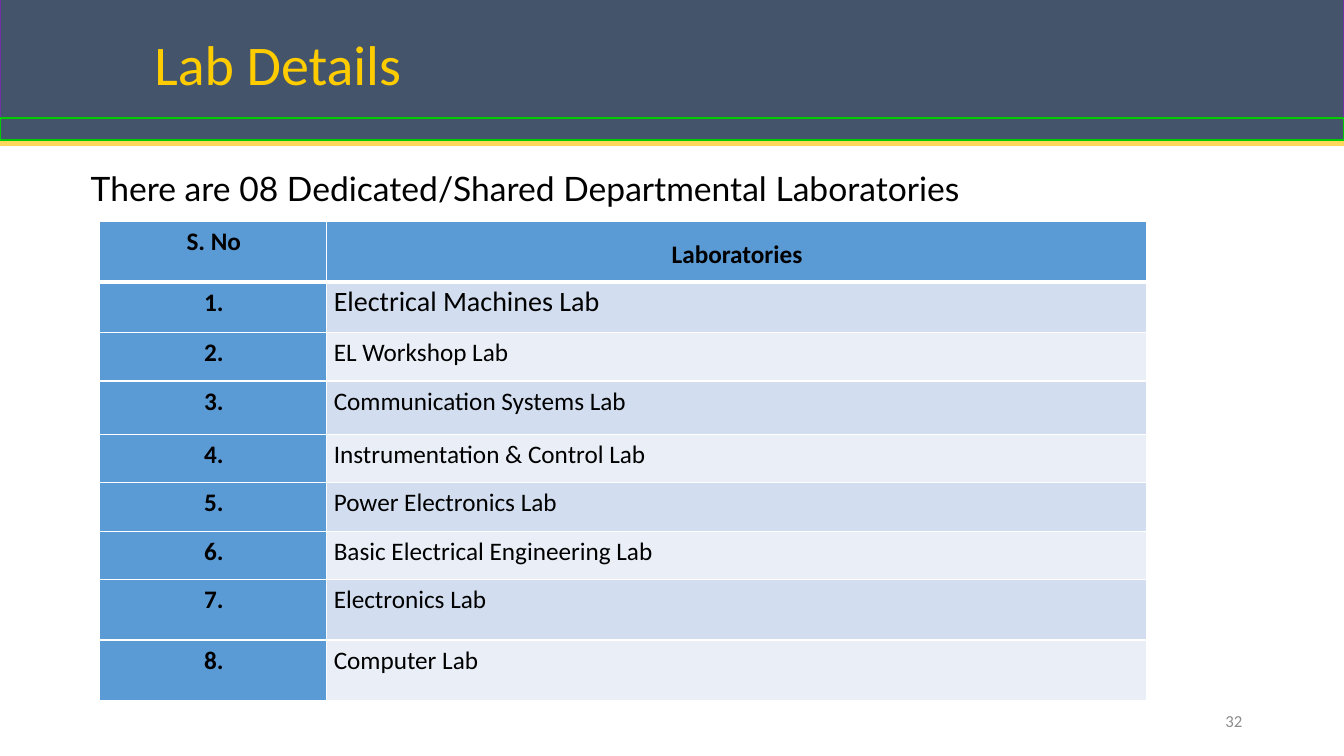
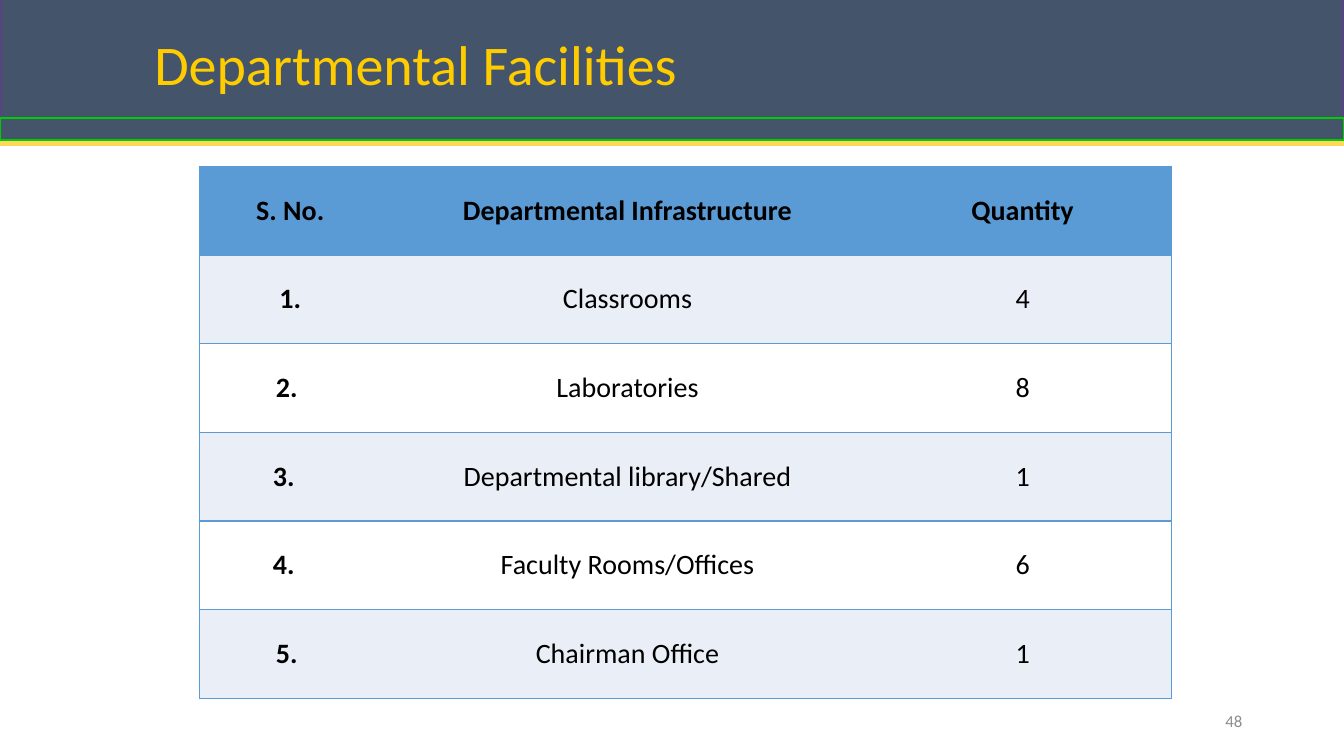
from dataclasses import dataclass
from typing import Any, NamedTuple

import lxml.etree
import pptx
import pptx.dml.color
import pptx.enum.shapes
import pptx.enum.text
import pptx.oxml.ns
import pptx.util

WIDE = pptx.util.Inches(13.33)
HIGH = pptx.util.Inches(7.5)
HUES = {
    "black": "000000", "white": "FFFFFF", "slate": "44546A", "grey": "8C8C8C",
    "gold": "FFCC00", "sand": "FFD85B", "plum": "7030A0", "green": "00CC00",
    "blue": "5B9BD5", "sky": "D2DEEF", "pale": "EAEFF7",
}
ALIGN = pptx.enum.text.PP_ALIGN
ANCHOR = pptx.enum.text.MSO_ANCHOR
qn = pptx.oxml.ns.qn


class Box(NamedTuple):
    """Place and size in percent of the slide."""
    x: float
    y: float
    w: float
    h: float


class Bar(NamedTuple):
    box: Box
    line: str


class Edge(NamedTuple):
    hue: str
    width: float = 1


@dataclass
class Look:
    """Format of a table: fills, borders, cell margins in inches and text."""
    fills: tuple[str, str]
    side: str
    inner: Edge | None
    under: Edge
    insets: tuple[float, float, float, float]
    size: float
    space: float = 0
    lines: float = 1.0
    first: bool = False
    anchor: Any = ANCHOR.TOP
    align: Any = ALIGN.LEFT


@dataclass
class Grid:
    """A table: place, columns and rows in percent of the slide."""
    x: float
    y: float
    cols: list[float]
    rows: list[float]
    cells: list[tuple[str, ...]]
    look: Look


TITLE = Box(10.73, 1.87, 80.5, 14.13)
BODY = Box(4.2, 21.6, 94.37, 76.67)
PAGE = Box(70.67, 92.67, 22.5, 5.33)
BARS = [
    Bar(Box(0, -0.13, 100, 16), "plum"),
    Bar(Box(0, 15.6, 100, 2.93), "green"),
]
RULE = 18.93

LABS = [
    "Electrical Machines Lab", "EL Workshop Lab", "Communication Systems Lab",
    "Instrumentation & Control Lab", "Power Electronics Lab",
    "Basic Electrical Engineering Lab", "Electronics Lab", "Computer Lab",
]
ROOMS = [
    ("Classrooms", "4"), ("Laboratories", "8"),
    ("Departmental library/Shared", "1"), ("Faculty Rooms/Offices", "6"),
    ("Chairman Office", "1"),
]
NUDGES = [0, 0.07, 0.13, 0.13, 0.07]


def across(share: float) -> int:
    return pptx.util.Emu(round(WIDE * share / 100))


def down(share: float) -> int:
    return pptx.util.Emu(round(HIGH * share / 100))


def span(box: Box) -> tuple[int, int, int, int]:
    return across(box.x), down(box.y), across(box.w), down(box.h)


def tint(name: str) -> pptx.dml.color.RGBColor:
    return pptx.dml.color.RGBColor.from_string(HUES[name])


def write(frame: Any, text: str, *, size: float, hue: str = "black",
          face: str = "Calibri", bold: bool = False, align: Any = ALIGN.LEFT,
          anchor: Any = None, before: float = 0, after: float = 0,
          lines: float = 1.0) -> Any:
    """Fill a text frame with one formatted paragraph and return it."""
    frame.word_wrap = True
    if anchor is not None:
        frame.vertical_anchor = anchor
    para = frame.paragraphs[0]
    para.alignment = align
    para.line_spacing = lines
    para.space_before = pptx.util.Pt(before)
    para.space_after = pptx.util.Pt(after)
    run = para.add_run()
    run.text = text
    run.font.name = face
    run.font.size = pptx.util.Pt(size)
    run.font.bold = bold
    run.font.color.rgb = tint(hue)
    return para


def move(shape: Any, box: Box) -> None:
    shape.left, shape.top, shape.width, shape.height = span(box)


def brand(slide: Any) -> None:
    """Draw the header band and hand it to the slide's layout."""
    rule = slide.shapes.add_connector(
        pptx.enum.shapes.MSO_CONNECTOR.STRAIGHT, 0, down(RULE), WIDE, down(RULE))
    rule.line.color.rgb = tint("sand")
    rule.line.width = pptx.util.Pt(3.75)
    lxml.etree.SubElement(rule.element.spPr, qn("a:effectLst"))
    parts = [rule]
    for bar in BARS:
        shape = slide.shapes.add_shape(
            pptx.enum.shapes.MSO_SHAPE.RECTANGLE, *span(bar.box))
        shape.shadow.inherit = False
        shape.fill.solid()
        shape.fill.fore_color.rgb = tint("slate")
        shape.line.color.rgb = tint(bar.line)
        shape.line.width = pptx.util.Pt(1)
        parts.append(shape)
    tree = slide.slide_layout.shapes.element
    for spot, part in enumerate(parts):
        part.element.xpath("./*/p:cNvPr")[0].set("id", str(20 + spot))
        tree.insert(2 + spot, part.element)


def border(cell: Any, side: str, edge: Edge | None) -> None:
    props = cell._tc.get_or_add_tcPr()
    line = lxml.etree.SubElement(props, qn(f"a:ln{side}"))
    if edge is None:
        lxml.etree.SubElement(line, qn("a:noFill"))
        return
    line.set("w", str(pptx.util.Pt(edge.width)))
    fill = lxml.etree.SubElement(line, qn("a:solidFill"))
    lxml.etree.SubElement(fill, qn("a:srgbClr"), val=HUES[edge.hue])


def tabulate(slide: Any, grid: Grid) -> Any:
    look = grid.look
    box = Box(grid.x, grid.y, sum(grid.cols), sum(grid.rows))
    table = slide.shapes.add_table(
        len(grid.rows), len(grid.cols), *span(box)).table
    for col, share in zip(table.columns, grid.cols):
        col.width = across(share)
    for row, share in zip(table.rows, grid.rows):
        row.height = down(share)
    outer = Edge(look.side)
    last = len(grid.cols) - 1
    for r, texts in enumerate(grid.cells):
        for c, text in enumerate(texts):
            cell = table.cell(r, c)
            border(cell, "L", look.inner if c else outer)
            border(cell, "R", look.inner if c < last else outer)
            border(cell, "T", look.under if r == 1 else outer)
            border(cell, "B", outer if r else look.under)
            head = r == 0 or (look.first and c == 0)
            cell.fill.solid()
            cell.fill.fore_color.rgb = tint(
                "blue" if head else look.fills[(r - 1) % 2])
            (cell.margin_left, cell.margin_top, cell.margin_right,
             cell.margin_bottom) = map(pptx.util.Inches, look.insets)
            cell.vertical_anchor = look.anchor
            strong = r == 0 or c == 0
            write(cell.text_frame, text, size=look.size, bold=strong,
                  align=ALIGN.CENTER if strong else look.align,
                  before=look.space, lines=look.lines)
    return table


def start(deck: Any, layout: Any, title: str, page: str) -> Any:
    """Add a slide with its title and page number."""
    slide = deck.slides.add_slide(layout)
    write(slide.shapes.title.text_frame, title, size=40, hue="gold",
          anchor=ANCHOR.MIDDLE, before=10, lines=0.9)
    note = slide.shapes.add_textbox(*span(PAGE))
    write(note.text_frame, page, size=12, hue="grey", align=ALIGN.RIGHT,
          anchor=ANCHOR.MIDDLE)
    return slide


def labs(slide: Any) -> None:
    para = write(slide.placeholders[1].text_frame,
                 "There are 08 Dedicated/Shared Departmental Laboratories",
                 size=24, face="Lato", anchor=ANCHOR.TOP, after=6)
    props = para._p.get_or_add_pPr()
    props.set("marL", str(pptx.util.Inches(0.24)))
    props.set("indent", "0")
    lxml.etree.SubElement(props, qn("a:buNone"))
    look = Look(("sky", "pale"), "white", Edge("white"), Edge("white", 3),
                (0.07, 0.03, 0.06, 0), 18, lines=1.07, first=True)
    cells = [("S. No", "Laboratories")]
    cells += [(f"{n}.", lab) for n, lab in enumerate(LABS, 1)]
    rows = [8, 6.67, 6.4, 7.07, 6.4, 6.4, 6.4, 8, 8]
    table = tabulate(slide, Grid(7.43, 29.33, [16.88, 60.99], rows, cells, look))
    table.cell(0, 1).vertical_anchor = ANCHOR.MIDDLE
    lead = table.cell(1, 1).text_frame.paragraphs[0]
    lead.line_spacing = 1.0
    lead.runs[0].font.size = pptx.util.Pt(20)


def rooms(slide: Any) -> None:
    body = slide.placeholders[1].element
    body.getparent().remove(body)
    look = Look(("pale", "white"), "blue", None, Edge("blue"),
                (0.07, 0, 0.07, 0), 20, space=12,
                anchor=ANCHOR.MIDDLE, align=ALIGN.CENTER)
    cells = [("S. No.", "Departmental Infrastructure", "Quantity")]
    cells += [(f"{n}.", *room) for n, room in enumerate(ROOMS, 1)]
    table = tabulate(slide, Grid(14.85, 22, [13.5, 36.68, 22.13],
                                 [11.73] * len(cells), cells, look))
    for r, nudge in enumerate(NUDGES, 1):
        table.cell(r, 0).margin_right = pptx.util.Inches(0.07 + nudge)


def main() -> None:
    deck = pptx.Presentation()
    deck.slide_width, deck.slide_height = WIDE, HIGH
    layout = deck.slide_layouts[1]
    for holder, box in zip(layout.placeholders, (TITLE, BODY)):
        move(holder, box)
    first = start(deck, layout, "Lab Details", "32")
    brand(first)
    labs(first)
    rooms(start(deck, layout, "Departmental Facilities", "48"))
    deck.save("out.pptx")


if __name__ == "__main__":
    main()
